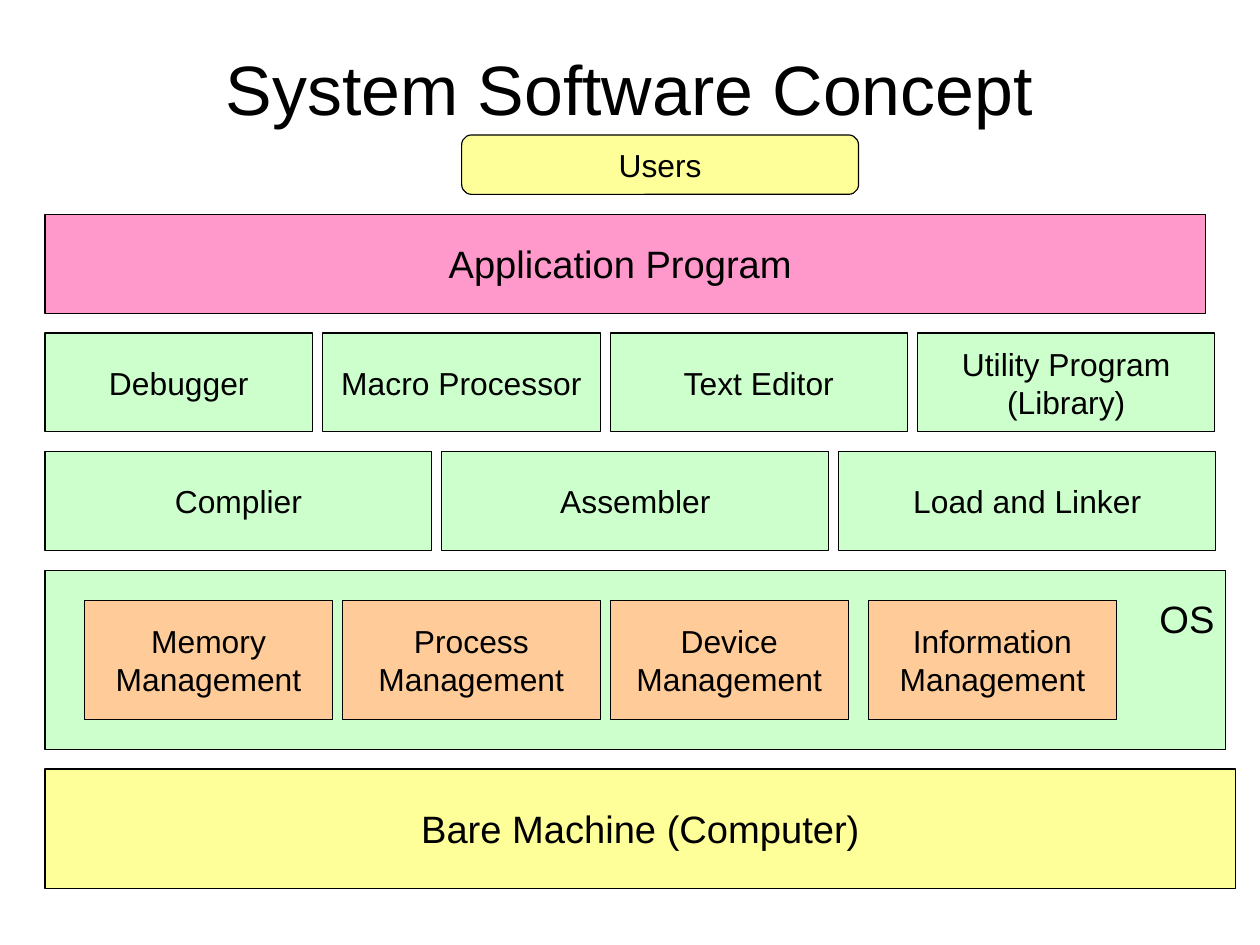
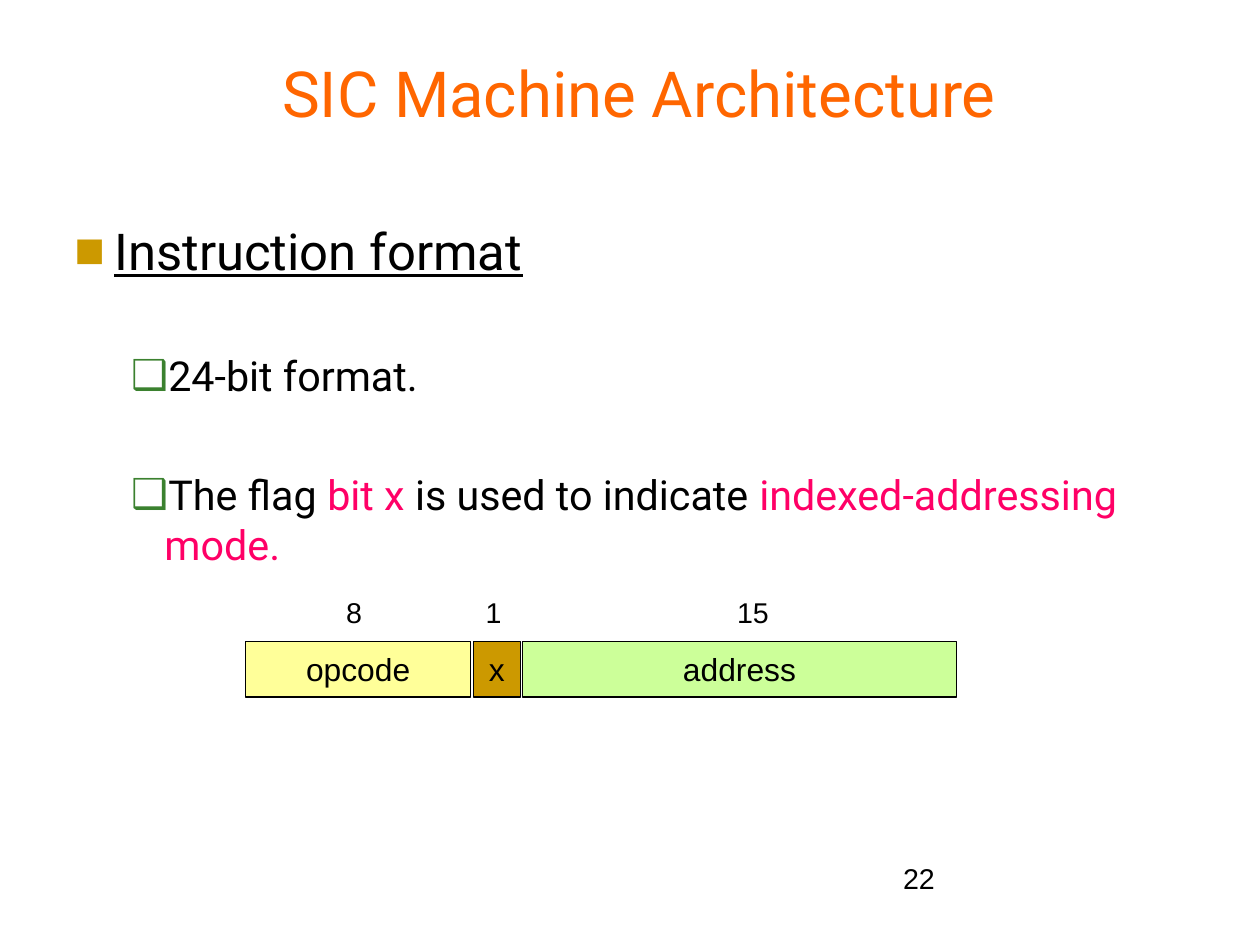
"""Build two slides on system software and the SIC instruction format."""
from dataclasses import dataclass

import lxml.etree
import pptx
import pptx.dml.color
import pptx.enum.shapes
import pptx.enum.text
import pptx.oxml.ns
import pptx.util

Cm = pptx.util.Cm
Pt = pptx.util.Pt
ALIGN = pptx.enum.text.PP_ALIGN
ANCHOR = pptx.enum.text.MSO_ANCHOR
SHAPE = pptx.enum.shapes.MSO_SHAPE


@dataclass(frozen=True)
class Theme:
    ink: str = "000000"
    yellow: str = "FFFF99"
    green: str = "CCFFCC"
    lime: str = "CCFF99"
    pink: str = "FF99CC"
    peach: str = "FFCC99"
    gold: str = "CC9900"
    orange: str = "FF6600"
    magenta: str = "FF0066"
    bullet_green: str = "3B812F"
    plain_font: str = "Arial"
    text_font: str = "Roboto"
    title_size: int = 44
    accent_title_size: int = 40
    heading_size: int = 32
    body_size: int = 26
    layer_size: int = 24
    box_size: int = 20
    label_size: int = 18
    line_width: float = 0.75


class Deck:
    def __init__(self, theme):
        self.theme = theme
        self.presentation = pptx.Presentation()
        self.presentation.slide_width = Cm(28)
        self.presentation.slide_height = Cm(21)
        self.slide = None

    def add_slide(self, layout_index):
        layout = self.presentation.slide_layouts[layout_index]
        self.slide = self.presentation.slides.add_slide(layout)

    def place(self, shape, left, top, width, height):
        shape.left, shape.top = Cm(left), Cm(top)
        shape.width, shape.height = Cm(width), Cm(height)

    def style(self, run, size, colour=None, font=None):
        run.font.name = font or self.theme.plain_font
        run.font.size = Pt(size)
        run.font.color.rgb = pptx.dml.color.RGBColor.from_string(colour or self.theme.ink)

    def set_text(self, shape, text, size, align, anchor, colour=None, font=None):
        frame = shape.text_frame
        frame.text = text
        frame.word_wrap = True
        frame.auto_size = pptx.enum.text.MSO_AUTO_SIZE.NONE
        frame.vertical_anchor = anchor
        paragraph = frame.paragraphs[0]
        paragraph.alignment = align
        for run in paragraph.runs:
            self.style(run, size, colour, font)

    def title(self, text, size, left=1.4, top=0.86, colour=None, font=None):
        shape = self.slide.shapes.title
        self.place(shape, left, top, 25.2, 2.16)
        self.set_text(shape, text, size, ALIGN.CENTER, ANCHOR.MIDDLE, colour, font)

    def box(self, text, left, top, width, height, fill, size, kind=SHAPE.RECTANGLE):
        shape = self.slide.shapes.add_shape(kind, Cm(left), Cm(top), Cm(width), Cm(height))
        shape.shadow.inherit = False
        shape.fill.solid()
        shape.fill.fore_color.rgb = pptx.dml.color.RGBColor.from_string(fill)
        shape.line.color.rgb = pptx.dml.color.RGBColor.from_string(self.theme.ink)
        shape.line.width = Pt(self.theme.line_width)
        self.set_text(shape, text, size, ALIGN.CENTER, ANCHOR.MIDDLE)
        return shape

    def row(self, cells, left, top, height, gap, fill=None):
        for text, width, *own_fill in cells:
            colour = own_fill[0] if own_fill else fill
            self.box(text, left, top, width, height, colour, self.theme.box_size)
            left += width + gap

    def label(self, text, left, top, width, height, margin=None):
        shape = self.slide.shapes.add_textbox(Cm(left), Cm(top), Cm(width), Cm(height))
        self.set_text(shape, text, self.theme.label_size, ALIGN.LEFT, ANCHOR.TOP)
        if margin is not None:
            frame = shape.text_frame
            frame.margin_left = frame.margin_right = Cm(margin)
            frame.margin_top = frame.margin_bottom = Cm(margin)

    def bullet(self, paragraph, symbol, colour, indent, hanging):
        properties = paragraph._p.get_or_add_pPr()
        properties.set("marL", str(Cm(indent)))
        properties.set("indent", str(-Cm(hanging)))
        qualify = pptx.oxml.ns.qn
        colour_element = lxml.etree.SubElement(properties, qualify("a:buClr"))
        lxml.etree.SubElement(colour_element, qualify("a:srgbClr")).set("val", colour)
        lxml.etree.SubElement(properties, qualify("a:buFont")).set("typeface", self.theme.plain_font)
        lxml.etree.SubElement(properties, qualify("a:buChar")).set("char", symbol)

    def outline(self, heading, points, left, top, width, height):
        theme = self.theme
        shape = self.slide.placeholders[1]
        self.place(shape, left, top, width, height)
        self.set_text(shape, heading, theme.heading_size, ALIGN.LEFT, ANCHOR.TOP,
                      font=theme.text_font)
        paragraph = shape.text_frame.paragraphs[0]
        paragraph.runs[0].font.underline = True
        paragraph.space_before = Pt(0)
        self.bullet(paragraph, "■", theme.gold, 0.89, 0.89)
        for pieces in points:
            paragraph = shape.text_frame.add_paragraph()
            paragraph.level = 1
            paragraph.alignment = ALIGN.LEFT
            paragraph.space_before = Pt(44)
            self.bullet(paragraph, "❑", theme.bullet_green, 2, 0.74)
            for text, colour in pieces:
                run = paragraph.add_run()
                run.text = text
                self.style(run, theme.body_size, colour, theme.text_font)


def build_concept(deck):
    theme = deck.theme
    left, row_gap, box_gap = 1, 0.44, 0.22
    deck.add_slide(5)
    deck.title("System Software Concept", theme.title_size)

    top, height = 3, 1.32
    deck.box("Users", 10.26, top, 8.82, height, theme.yellow, theme.box_size,
             SHAPE.ROUNDED_RECTANGLE)

    top, height = top + height + row_gap, 2.2
    deck.box("Application Program ", left, top, 25.8, height, theme.pink, theme.layer_size)

    tool_rows = [
        [("Debugger", 5.95), ("Macro Processor", 6.17), ("Text Editor", 6.61),
         ("Utility Program (Library)", 6.61)],
        [("Complier", 8.6), ("Assembler", 8.6), ("Load and Linker", 8.38)],
    ]
    for tools in tool_rows:
        top += height + row_gap
        deck.row(tools, left, top, height, box_gap, theme.green)

    top, height = top + height + row_gap, 3.97
    system = deck.box("OS", left, top, 26.24, height, theme.green, theme.layer_size)
    system.text_frame.paragraphs[0].alignment = ALIGN.RIGHT
    system.text_frame.vertical_anchor = ANCHOR.TOP
    system.text_frame.margin_top = Cm(0.56)
    managers = [("Memory Management", 5.51), ("Process Management", 5.73),
                ("Device Management", 5.29)]
    deck.row(managers, 1.88, top + 0.66, 2.65, box_gap, theme.peach)
    deck.row([("Information Management", 5.51)], 19.3, top + 0.66, 2.65, box_gap, theme.peach)

    top += height + row_gap
    deck.box("Bare Machine (Computer)", left, top, 26.46, 2.65, theme.yellow, theme.layer_size)


def build_format(deck):
    theme = deck.theme
    deck.add_slide(1)
    deck.title("SIC Machine Architecture", theme.accent_title_size, 1.6, 0.96,
               theme.orange, theme.text_font)
    points = [
        [("24-bit format.", theme.ink)],
        [("The flag ", theme.ink), ("bit x", theme.magenta),
         (" is used to indicate ", theme.ink),
         ("indexed-addressing mode.", theme.magenta)],
    ]
    deck.outline("Instruction format", points, 1.4, 4.75, 25.7, 8.03)
    fields = [("opcode", 5, theme.yellow), ("x", 1.04, theme.gold),
              ("address", 9.63, theme.lime)]
    deck.row(fields, 5.46, 14.25, 1.24, 0.06)
    for bits, left, width in [("8", 7.44, 0.9), ("1", 10.54, 0.9), ("15", 16.13, 1.32)]:
        deck.label(bits, left, 13.1, width, 1.02)
    deck.label("22", 20.07, 19.13, 6.45, 1.37, margin=0)


def main():
    deck = Deck(Theme())
    build_concept(deck)
    build_format(deck)
    deck.presentation.save("out.pptx")


if __name__ == "__main__":
    main()
